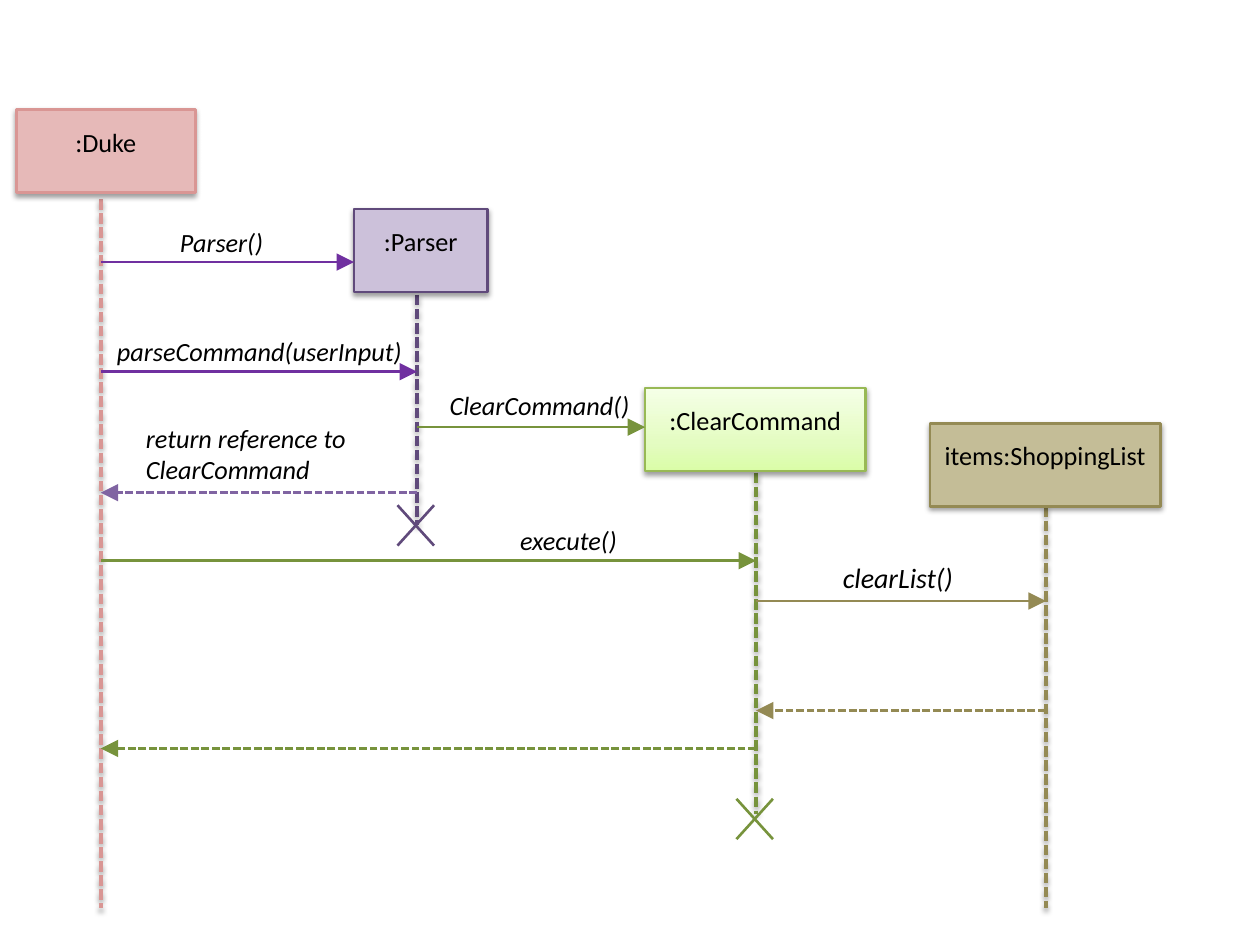
from dataclasses import dataclass
from lxml import etree
from pptx import Presentation
from pptx.dml.color import RGBColor
from pptx.enum.dml import MSO_LINE
from pptx.enum.shapes import MSO_CONNECTOR, MSO_SHAPE
from pptx.enum.text import MSO_ANCHOR, PP_ALIGN
from pptx.oxml import parse_xml
from pptx.oxml.ns import nsdecls, qn
from pptx.util import Inches, Pt


@dataclass(frozen=True)
class Theme:
    font: str = "Calibri"
    text: str = "000000"
    rose: str = "D99694"
    rose_fill: str = "E6B9B8"
    plum: str = "604A7B"
    plum_fill: str = "CCC1DA"
    violet: str = "7030A0"
    lavender: str = "8064A2"
    green: str = "77933C"
    green_edge: str = "98B955"
    tan: str = "948A54"
    tan_fill: str = "C4BD97"
    size: int = 15
    large: int = 16
    line: float = 1.5
    lifeline: float = 2


T = Theme()
HEAD_HEIGHT = 0.66
CROSS_SIZE = (0.29, 0.32)
GREEN_STOPS = [(0, "DAFDA7"), (35, "E4FCC2"), (100, "F5FFE7")]

DUKE, PARSER, COMMAND, ITEMS = 0.8, 3.31, 6, 8.3
PARSER_LEFT, COMMAND_LEFT = 2.81, 5.12

LIFELINES = [
    (DUKE, 1.58, 7.21, T.rose),
    (PARSER, 2.34, 4.17, T.plum),
    (COMMAND, 3.75, 6.46, T.green),
    (ITEMS, 4.02, 7.21, T.tan),
]
PARTICIPANTS = [
    (":Duke", 0.13, 0.87, 1.42, T.rose_fill, T.rose),
    (":Parser", PARSER_LEFT, 1.66, 1.06, T.plum_fill, T.plum),
    (":ClearCommand", COMMAND_LEFT, 3.08, 1.75, GREEN_STOPS, T.green_edge),
    ("items:ShoppingList", 7.38, 3.36, 1.83, T.tan_fill, T.tan),
]
CALLS = [
    (DUKE, PARSER_LEFT, 2.08, T.violet),
    (DUKE, PARSER, 2.95, T.violet),
    (PARSER, COMMAND_LEFT, 3.39, T.green),
    (DUKE, COMMAND, 4.45, T.green),
    (COMMAND, ITEMS, 4.77, T.tan),
]
RETURNS = [
    (PARSER, DUKE, 3.91, T.lavender),
    (ITEMS, COMMAND, 5.64, T.tan),
    (COMMAND, DUKE, 5.94, T.green),
]
LABELS = [
    ("Parser()", 1.33, 1.75, 1.29, 0.35, T.size),
    ("parseCommand(userInput)", 0.83, 2.61, 2.73, 0.35, T.size),
    ("ClearCommand()", 3.47, 3.04, 2.28, 0.35, T.size),
    ("return reference to ClearCommand", 1.06, 3.3, 1.87, 0.61, T.size),
    ("execute()", 4.03, 4.11, 0.97, 0.35, T.size),
    ("clearList()", 6.59, 4.4, 1.09, 0.37, T.large),
]
CROSSES = [(3.3, 4.17, T.plum), (5.99, 6.5, T.green)]


def rgb(value):
    return RGBColor.from_string(value)


def add_shadow(shape):
    effects = shape._element.spPr.find(qn("a:effectLst"))
    effects.append(parse_xml(
        f'<a:outerShdw {nsdecls("a")} blurRad="{Pt(3.1)}" dist="{Pt(1.6)}" '
        'dir="5400000" rotWithShape="0"><a:srgbClr val="000000">'
        '<a:alpha val="38000"/></a:srgbClr></a:outerShdw>'))


def add_line(x1, y1, x2, y2, color, width=T.line, dashed=False, arrow=False):
    line = slide.shapes.add_connector(
        MSO_CONNECTOR.STRAIGHT, *map(Inches, (x1, y1, x2, y2)))
    line.line.color.rgb = rgb(color)
    line.line.width = Pt(width)
    if dashed:
        line.line.dash_style = MSO_LINE.SQUARE_DOT
    if arrow:
        etree.SubElement(line.line._get_or_add_ln(), qn("a:tailEnd"),
                         type="triangle", w="lg", len="lg")
    etree.SubElement(line._element.spPr, qn("a:effectLst"))
    return line


def write(shape, text, size, align, italic=False):
    frame = shape.text_frame
    frame.word_wrap = True
    frame.vertical_anchor = MSO_ANCHOR.TOP
    paragraph = frame.paragraphs[0]
    paragraph.alignment = align
    run = paragraph.add_run()
    run.text = text
    run.font.name = T.font
    run.font.size = Pt(size)
    run.font.italic = italic
    run.font.color.rgb = rgb(T.text)


def fill_gradient(shape, stops):
    shape.fill.gradient()
    gradient = shape._element.spPr.find(qn("a:gradFill"))
    stop_list = gradient.find(qn("a:gsLst"))
    for stop in list(stop_list):
        stop_list.remove(stop)
    for position, color in stops:
        stop = etree.SubElement(stop_list, qn("a:gs"), pos=str(position * 1000))
        etree.SubElement(stop, qn("a:srgbClr"), val=color)
    gradient.find(qn("a:lin")).set("ang", "16200000")


def add_participant(name, left, top, width, fill, edge):
    head = slide.shapes.add_shape(
        MSO_SHAPE.RECTANGLE, *map(Inches, (left, top, width, HEAD_HEIGHT)))
    head.shadow.inherit = False
    if isinstance(fill, list):
        fill_gradient(head, fill)
    else:
        head.fill.solid()
        head.fill.fore_color.rgb = rgb(fill)
    head.line.color.rgb = rgb(edge)
    head.line.width = Pt(T.line)
    add_shadow(head)
    write(head, name, T.size, PP_ALIGN.CENTER)
    head.text_frame.margin_top = Inches(0.13)
    head.text_frame.margin_bottom = Inches(0.27)


prs = Presentation()
prs.slide_width, prs.slide_height = Inches(10), Inches(7.5)
slide = prs.slides.add_slide(prs.slide_layouts[6])

for x, top, bottom, color in LIFELINES:
    add_shadow(add_line(x, top, x, bottom, color, T.lifeline, dashed=True))
for participant in PARTICIPANTS:
    add_participant(*participant)
for messages, dashed in ((CALLS, False), (RETURNS, True)):
    for start, end, y, color in messages:
        add_line(start, y, end, y, color, dashed=dashed, arrow=True)
for text, left, top, width, height, size in LABELS:
    label = slide.shapes.add_textbox(*map(Inches, (left, top, width, height)))
    write(label, text, size, PP_ALIGN.LEFT, italic=True)
for x, y, color in CROSSES:
    dx, dy = (side / 2 for side in CROSS_SIZE)
    for slope in (1, -1):
        add_line(x - dx, y - slope * dy, x + dx, y + slope * dy, color)

prs.save("out.pptx")
